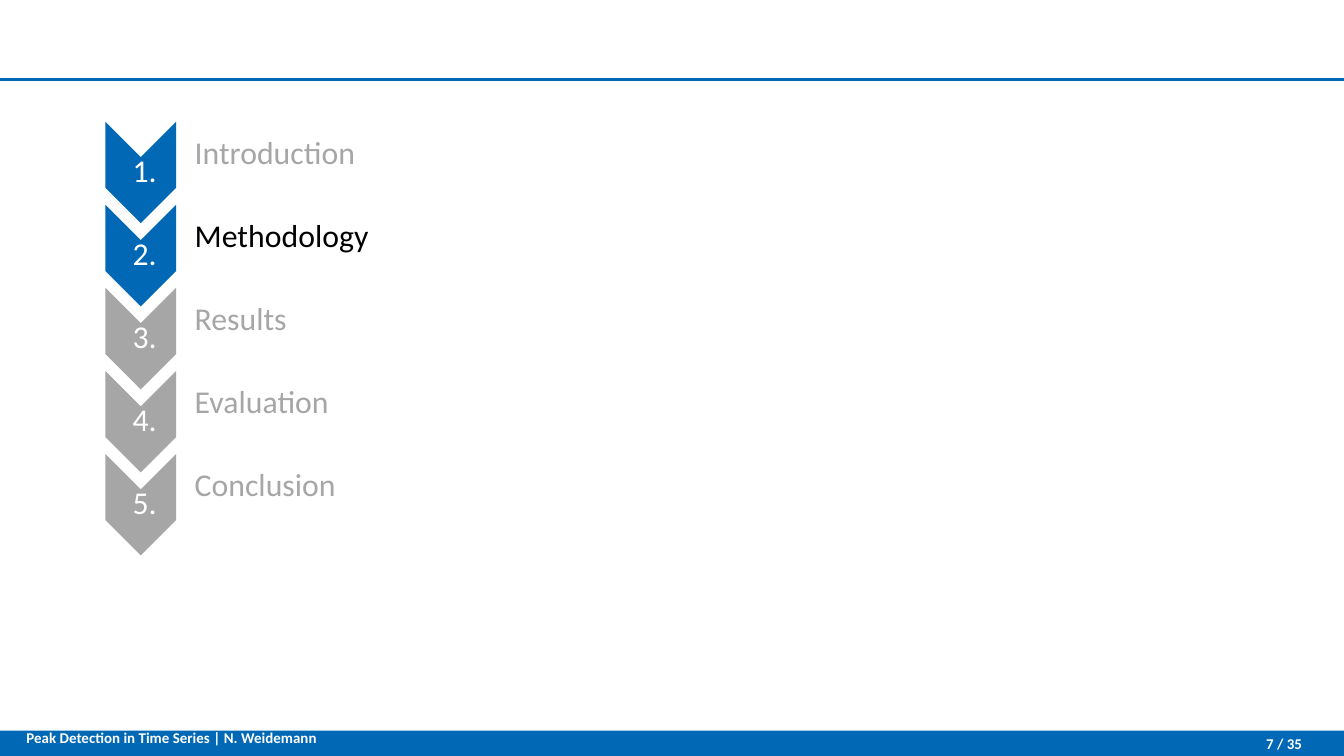
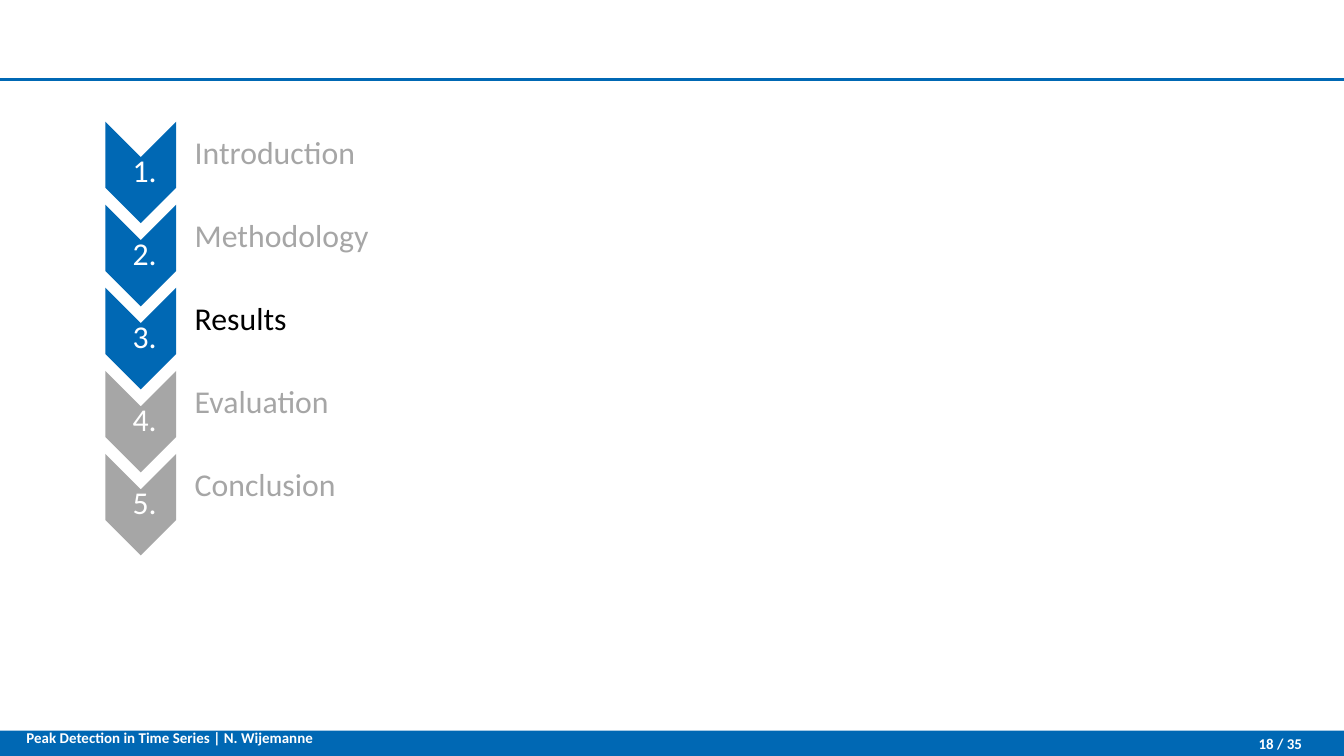
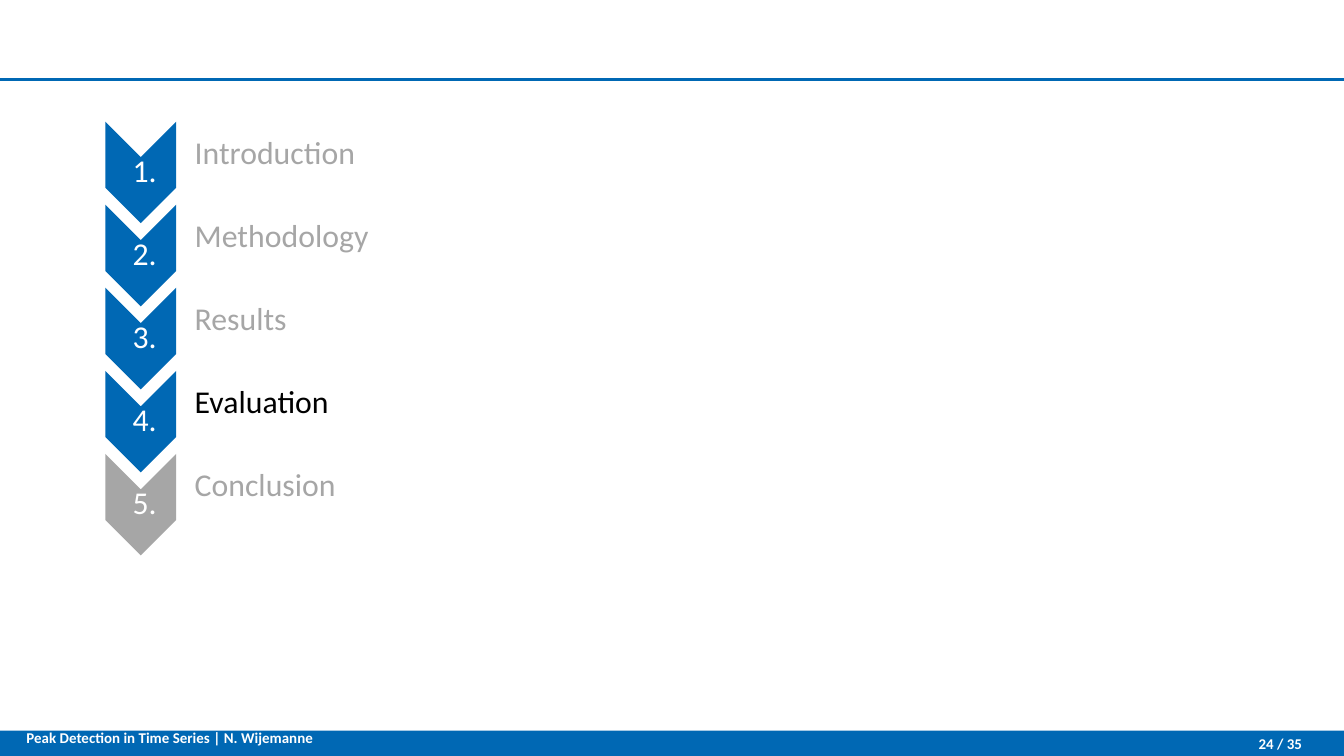
from pptx import Presentation
from pptx.dml.color import RGBColor
from pptx.enum.shapes import MSO_CONNECTOR, MSO_SHAPE
from pptx.enum.text import MSO_ANCHOR, PP_ALIGN
from pptx.oxml.ns import qn
from pptx.util import Cm, Pt
from lxml.etree import SubElement

# Content
CHAPTERS = ["Introduction", "Methodology", "Results", "Evaluation", "Conclusion"]
TALK = "Peak Detection in Time Series"
PAGE_COUNT = 35
AGENDAS = [
    {"chapter": "Methodology", "speaker": "N. Weidemann", "number": 7},
    {"chapter": "Results", "speaker": "N. Wijemanne", "number": 18},
    {"chapter": "Evaluation", "speaker": "N. Wijemanne", "number": 24},
]

# Shared look, lengths in centimetres
COLORS = {"blue": "0068B4", "gray": "A6A6A6", "black": "000000", "white": "FFFFFF"}
FONT = "Calibri"
WIDTH, HEIGHT = 25.4, 14.29
RULE_TOP = 1.5
BAND_HEIGHT = 0.48
BAND_TOP = HEIGHT - BAND_HEIGHT
STEP = 1.57
CHEVRON_LENGTH, CHEVRON_WIDTH = 1.92, 1.34


def color(name):
    return RGBColor.from_string(COLORS[name])


def add_shape(page, kind, place, fill):
    shape = page.shapes.add_shape(kind, *map(Cm, place))
    shape.shadow.inherit = False
    shape.fill.solid()
    shape.fill.fore_color.rgb = color(fill)
    shape.line.fill.background()
    return shape


def add_text(page, text, place, size, ink, margins, align=PP_ALIGN.LEFT,
             anchor=MSO_ANCHOR.MIDDLE, bold=False, spacing=1.0):
    box = page.shapes.add_textbox(*map(Cm, place))
    frame = box.text_frame
    frame.word_wrap = True
    frame.vertical_anchor = anchor
    (frame.margin_left, frame.margin_top,
     frame.margin_right, frame.margin_bottom) = map(Cm, margins)
    para = frame.paragraphs[0]
    para.alignment = align
    para.line_spacing = spacing
    span = para.add_run()
    span.text = text
    span.font.name = FONT
    span.font.size = Pt(size)
    span.font.bold = bold
    span.font.color.rgb = color(ink)


def add_frame(page, speaker, number):
    # Header rule and footer band
    rule = page.shapes.add_connector(
        MSO_CONNECTOR.STRAIGHT, Cm(WIDTH), Cm(RULE_TOP), Cm(0), Cm(RULE_TOP))
    rule.line.color.rgb = color("blue")
    rule.line.width = Pt(1.5)
    SubElement(rule._element.spPr, qn("a:effectLst"))
    add_shape(page, MSO_SHAPE.RECTANGLE, (0, BAND_TOP, WIDTH, BAND_HEIGHT), "blue")

    # Footer texts
    add_text(page, f"{TALK} | {speaker}", (0.25, 13.61, 11.02, 0.86), 8, "white",
             (0.25, 0.25, 0.25, 0.25), anchor=MSO_ANCHOR.TOP, bold=True)
    add_text(page, f"{number} / {PAGE_COUNT}", (22.22, BAND_TOP, 2.39, BAND_HEIGHT),
             8, "white", (0.25, 0.13, 0, 0.13), align=PP_ALIGN.RIGHT, bold=True)


def add_chapter(page, index, current):
    offset = index * STEP
    # Chevron turned to point down, blue up to the current chapter
    chevron = add_shape(page, MSO_SHAPE.CHEVRON,
                        (1.7, 2.59 + offset, CHEVRON_LENGTH, CHEVRON_WIDTH),
                        "blue" if index <= current else "gray")
    chevron.rotation = 90
    add_text(page, f"{index + 1}.", (2, 2.97 + offset, CHEVRON_WIDTH, 0.58), 17,
             "white", (0.16, 0.03, 0.03, 0.03), align=PP_ALIGN.CENTER, spacing=0.9)
    add_text(page, CHAPTERS[index], (3.35, 2.36 + offset, 19.99, 1.12), 17,
             "black" if index == current else "gray",
             (0.33, 0.03, 0.03, 0.03), spacing=0.9)


def main():
    deck = Presentation()
    deck.slide_width, deck.slide_height = Cm(WIDTH), Cm(HEIGHT)
    blank = deck.slide_layouts[6]
    for agenda in AGENDAS:
        page = deck.slides.add_slide(blank)
        add_frame(page, agenda["speaker"], agenda["number"])
        current = CHAPTERS.index(agenda["chapter"])
        for index in range(len(CHAPTERS)):
            add_chapter(page, index, current)
    deck.save("out.pptx")


if __name__ == "__main__":
    main()
